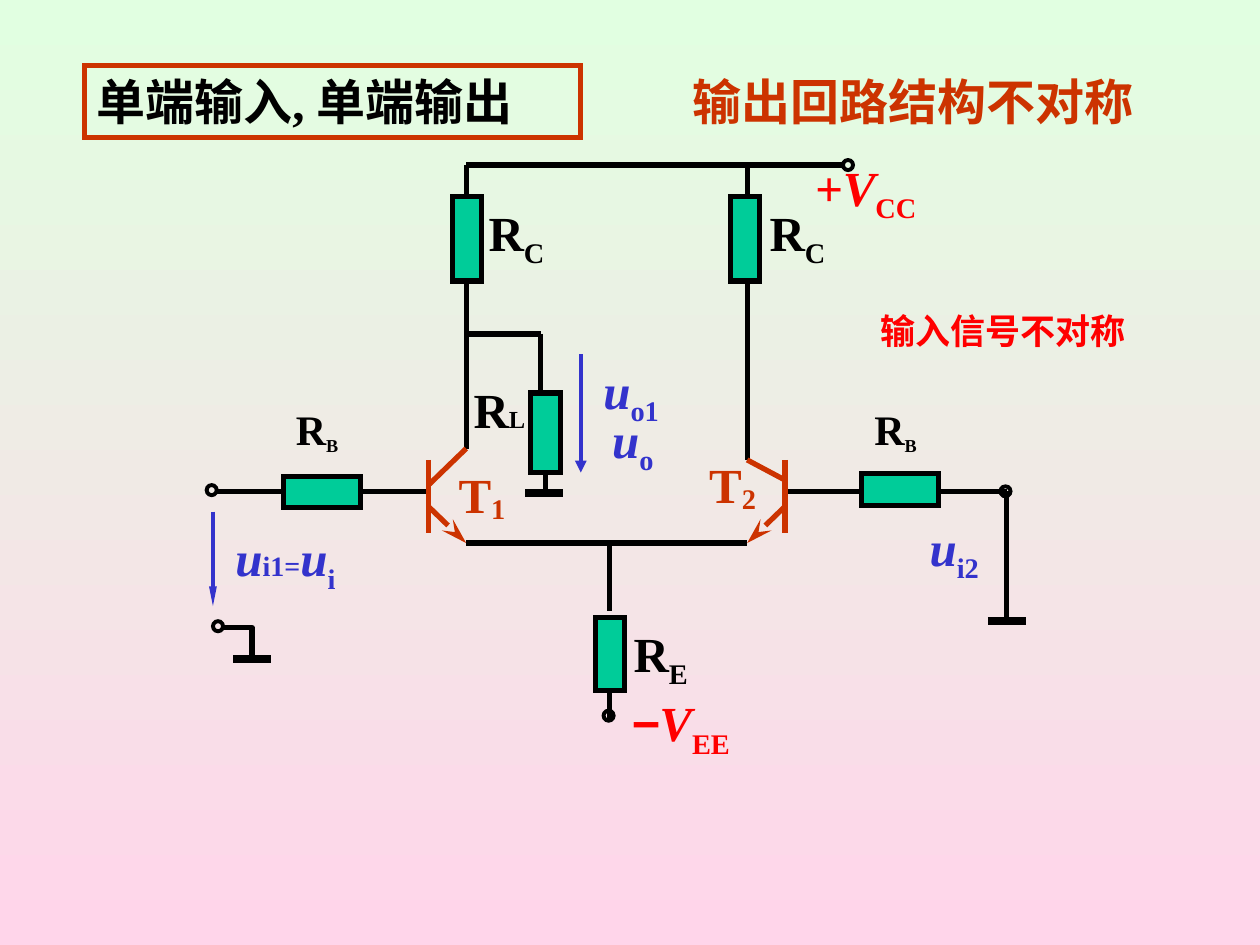
"""Builds a slide with a single-ended differential amplifier circuit."""
import pptx
import pptx.util
import pptx.dml.color
import pptx.enum.dml
import pptx.enum.shapes
import pptx.enum.text
import pptx.oxml.ns
from lxml import etree

Inches = pptx.util.Inches
Pt = pptx.util.Pt
qn = pptx.oxml.ns.qn
SHAPE = pptx.enum.shapes.MSO_SHAPE
BLACK, ORANGE, RED, BLUE, GREEN = "000000", "CC3300", "FF0000", "3333CC", "00CC99"
FONT = "Times New Roman"


def rgb(value):
    """Turn a hex string into a colour."""
    return pptx.dml.color.RGBColor.from_string(value)


def line(s, x1, y1, x2, y2, color=BLACK, width=3, arrow=None):
    """Draw a straight line; arrow is (type, width, length) at its end."""
    c = s.shapes.add_connector(pptx.enum.shapes.MSO_CONNECTOR.STRAIGHT,
                               Inches(x1), Inches(y1), Inches(x2), Inches(y2))
    c.line.color.rgb = rgb(color)
    c.line.width = Pt(width)
    if arrow:
        etree.SubElement(c.line._get_or_add_ln(), qn("a:tailEnd"),
                         dict(zip(("type", "w", "len"), arrow)))
    etree.SubElement(c._element.spPr, qn("a:effectLst"))
    return c


def outline(sp, color=BLACK, width=3, fill=None, join="miter"):
    """Give a shape its line and an optional fill."""
    sp.shadow.inherit = False
    sp.line.color.rgb = rgb(color)
    sp.line.width = Pt(width)
    etree.SubElement(sp.line._get_or_add_ln(), qn("a:" + join))
    if fill:
        sp.fill.solid()
        sp.fill.fore_color.rgb = rgb(fill)
    else:
        sp.fill.background()
    return sp


def preset(s, kind, x, y, w, h):
    """Add a preset shape measured in inches."""
    return s.shapes.add_shape(kind, Inches(x), Inches(y), Inches(w), Inches(h))


def resistor(s, x, y, w, h, turned=False):
    """Draw a resistor, on its side if turned."""
    sp = outline(preset(s, SHAPE.RECTANGLE, x, y, w, h), fill=GREEN)
    if turned:
        sp.rotation = 270
    return sp


def terminal(s, x, y):
    """Draw an open terminal centred on a point."""
    outline(preset(s, SHAPE.OVAL, x - 0.04, y - 0.04, 0.08, 0.08), width=2.25)


def ground(s, x, y):
    """Draw a ground bar centred on a point."""
    line(s, x - 0.15, y, x + 0.15, y, width=4.5)


def write(sp, runs, color, size=28, centre=False, wrap=True):
    """Write runs of (text, format dict) into a shape."""
    tf = sp.text_frame
    tf.word_wrap = wrap
    tf.auto_size = pptx.enum.text.MSO_AUTO_SIZE.NONE
    if not wrap:
        tf.margin_right = 0
        tf.margin_left = 0 if centre else Inches(0.1)
    anchor = pptx.enum.text.MSO_ANCHOR
    tf.vertical_anchor = anchor.MIDDLE if centre else anchor.TOP
    p = tf.paragraphs[0]
    align = pptx.enum.text.PP_ALIGN
    p.alignment = align.CENTER if centre else align.LEFT
    p.font.name, p.font.size, p.font.bold = FONT, Pt(size), True
    p.font.color.rgb = rgb(color)
    for text, fmt in runs:
        r = p.add_run()
        r.text = text
        if "italic" in fmt:
            r.font.italic = True
        if "size" in fmt:
            r.font.size = Pt(fmt["size"])
        if "name" in fmt:
            r.font.name = fmt["name"]
        if "base" in fmt:
            r._r.get_or_add_rPr().set("baseline", str(fmt["base"] * 1000))


def label(s, x, y, w, h, runs, color=BLACK, **options):
    """Add a text box with a label."""
    sp = s.shapes.add_textbox(Inches(x), Inches(y), Inches(w), Inches(h))
    write(sp, runs, color, **options)


def symbol(main, sub, italic=False, base=-25, **fmt):
    """Make the runs of a symbol with a subscript."""
    return [(main, {"italic": True} if italic else {}), (sub, dict(fmt, base=base))]


def headings(s, x, y):
    """Write the framed heading and the two remarks."""
    frame = outline(preset(s, SHAPE.RECTANGLE, x, y, 3.94, 0.57), ORANGE)
    write(frame, [("单端输入, 单端输出", {})], BLACK)
    label(s, x + 4.73, y, 3.69, 0.57, [("输出回路结构不对称", {})], ORANGE, wrap=False)
    label(s, x + 6.22, y + 1.89, 2.68, 0.44, [("输入信号不对称", {})], RED, size=20)


def supply(s, x, y, span):
    """Draw the upper rail with its terminal and voltage."""
    line(s, x, y, x + span, y)
    terminal(s, x + span + 0.04, y)
    label(s, x + 2.67, y - 0.11, 1, 0.63, symbol("+V", "CC", True), RED,
          centre=True, wrap=False)


def collector(s, x, y, drop, left):
    """Draw a collector branch with its resistor."""
    line(s, x, y, x, y + drop)
    resistor(s, left, y + 0.25, 0.23, 0.67)
    label(s, x + 0.08, y + 0.25, 0.69, 0.63, symbol("R", "C"))


def transistor(s, x, y, side, tap, top, number, name_box):
    """Draw a transistor whose legs lie on the given side of its base."""
    leg = x + side * 0.3
    line(s, x, y, x, y + 0.58, ORANGE)
    line(s, x, y + tap, leg, y + top, ORANGE)
    line(s, x, y + 0.37, leg, y + 0.66, ORANGE, arrow=("stealth", "med", "lg"))
    label(s, *name_box, 0.57, 0.58, symbol("T", number, base=-12), ORANGE,
          centre=True, wrap=False)


def base_resistor(s, x, y, top, start, end):
    """Draw a base wire with its resistor and label."""
    line(s, start, y, end, y)
    resistor(s, x + 0.18, top, 0.25, 0.61, turned=True)
    label(s, x, y - 0.75, 0.69, 0.53, symbol("R", "B", size=18), size=24)


def load(s, x, y):
    """Draw the load branch and the output voltages."""
    line(s, x, y, x + 0.59, y)
    line(s, x + 0.59, y, x + 0.59, y + 0.47)
    sp = resistor(s, x + 0.51, y + 0.47, 0.24, 0.63)
    stem = line(s, x + 0.63, y + 1.1, x + 0.63, y + 1.26)
    stem.begin_connect(sp, 2)
    ground(s, x + 0.62, y + 1.26)
    label(s, x - 0.04, y + 0.31, 0.61, 0.57, [("R", {}), ("L", {"size": 14})], wrap=False)
    line(s, x + 0.91, y + 0.16, x + 0.91, y + 1.1, BLUE, 2.25, ("triangle", "med", "med"))
    for dx, dy, sub in ((0.99, 0.16, "o1"), (1.06, 0.55, "o")):
        label(s, x + dx, y + dy, 0.77, 0.63, symbol("u", sub, True), BLUE)


def left_input(s, x, y):
    """Draw the driven input with its ground return."""
    terminal(s, x, y)
    terminal(s, x + 0.05, y + 1.08)
    fb = s.shapes.build_freeform(Inches(x + 0.09), Inches(y + 1.09), 1.0)
    fb.add_line_segments([(Inches(x + 0.32), Inches(y + 1.09)),
                          (Inches(x + 0.32), Inches(y + 1.34))], close=False)
    outline(fb.convert_to_shape(), join="round")
    ground(s, x + 0.32, y + 1.34)
    line(s, x + 0.01, y + 0.17, x + 0.01, y + 0.92, BLUE, 2.25, ("triangle", "sm", "lg"))
    label(s, x + 0.09, y + 0.25, 1.26, 0.63,
          [("u", {"italic": True}), ("i1=", {"size": 16})] + symbol("u", "i", True), BLUE)


def right_input(s, x, y):
    """Draw the grounded input."""
    terminal(s, x - 0.01, y)
    line(s, x, y, x, y + 1.03)
    ground(s, x, y + 1.03)
    label(s, x - 0.71, y + 0.16, 0.83, 0.63, symbol("u", "i2", True), BLUE)


def emitter(s, x, y, span):
    """Draw the common emitter branch down to the lower supply."""
    line(s, x, y, x + span, y)
    mid = x + 1.14
    line(s, mid, y, mid, y + 0.54)
    sp = resistor(s, mid - 0.23 / 2, y + 0.59, 0.23, 0.58)
    terminal(s, mid - 0.01, y + 1.37)
    line(s, mid, y + 1.41, mid, y + 1.17).end_connect(sp, 2)
    label(s, mid + 0.09, y + 0.59, 0.69, 0.63, symbol("R", "E"))
    label(s, mid - 0.06, y + 1.14, 1.24, 0.63,
          [("−", {"italic": True, "name": "Arial"})] + symbol("V", "EE", True),
          RED, centre=True)


def main():
    """Build and save the slide."""
    prs = pptx.Presentation()
    prs.slide_width, prs.slide_height = Inches(10), Inches(7.5)
    s = prs.slides.add_slide(prs.slide_layouts[6])
    fill = s.background.fill
    fill.gradient()
    fill.gradient_angle = 270
    for stop, color in zip(fill.gradient_stops, ("E1FFE1", "FFD5EA")):
        stop.color.rgb = rgb(color)
    headings(s, 0.67, 0.52)
    supply(s, 3.7, 1.31, 2.99)
    collector(s, 3.7, 1.31, 2.25, 3.59)
    collector(s, 5.93, 1.31, 2.34, 5.8)
    base_resistor(s, 2.25, 3.9, 3.6, 1.72, 3.4)
    base_resistor(s, 6.84, 3.9, 3.58, 6.23, 7.99)
    transistor(s, 3.4, 3.65, 1, 0.2, -0.09, "1", (3.54, 3.64))
    transistor(s, 6.23, 3.65, -1, 0.16, 0, "2", (5.53, 3.56))
    load(s, 3.7, 2.65)
    left_input(s, 1.68, 3.89)
    right_input(s, 7.99, 3.9)
    emitter(s, 3.7, 4.31, 2.23)
    prs.save("out.pptx")


if __name__ == "__main__":
    main()
